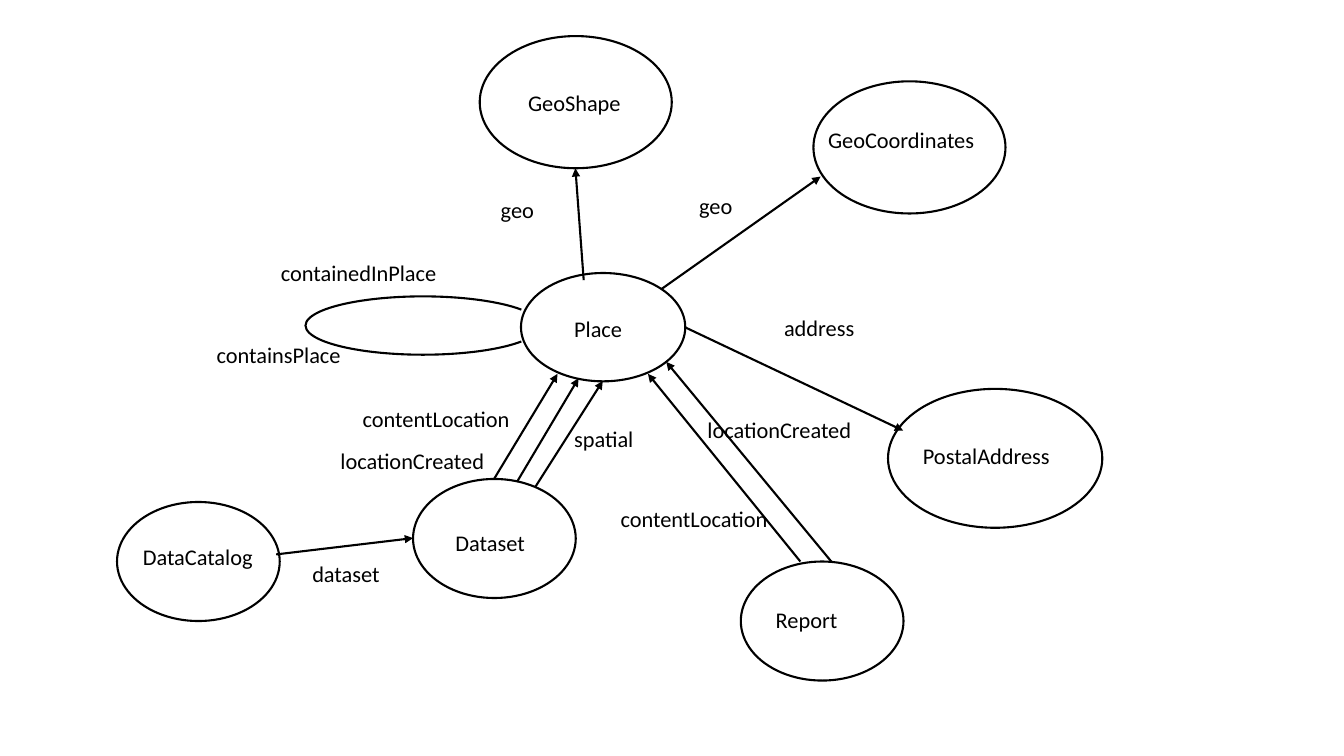
from lxml import etree
from pptx import Presentation
from pptx import util as u
from pptx.dml.color import RGBColor
from pptx.enum import shapes, text
from pptx.oxml.ns import qn

BLACK = RGBColor(0, 0, 0)
FONT = "Calibri"
FONT_SIZE = u.Pt(16)
LINE_WIDTH = u.Pt(1.5)
LABEL_HEIGHT = 0.94
BLANK_LAYOUT = 6

# All lengths in centimetres.
# name, ellipse (left, top, width, height), name label (left, top, width)
CLASSES = [
    ("Place", (13.13, 6.88, 4.14, 2.73), (14.22, 7.82, 1.73)),
    ("Report", (18.67, 14.15, 4.1, 3), (19.3, 15.16, 2.08)),
    ("Dataset", (10.41, 12.07, 4.1, 3), (11.23, 13.21, 2.29)),
    ("GeoCoordinates", (20.5, 2.05, 4.84, 3.33), (20.62, 3.05, 4.24)),
    ("PostalAddress", (22.38, 9.8, 5.4, 3.5), (23.01, 11.02, 3.76)),
    ("GeoShape", (12.09, 0.91, 4.84, 3.33), (13.06, 2.11, 2.87)),
    ("DataCatalog", (2.95, 12.65, 4.1, 3), (3.35, 13.56, 3.3)),
]

# name, label (left, top, width), arrow (from x, from y, to x, to y)
PROPERTIES = [
    ("geo", (17.37, 4.72, 1.37), (16.66, 7.29, 20.68, 4.45)),
    ("geo", (12.37, 4.83, 1.37), (14.71, 7.06, 14.5, 4.24)),
    ("address", (19.51, 7.8, 2.31), (17.27, 8.25, 22.76, 10.85)),
    ("contentLocation", (8.89, 10.08, 4.27), (12.45, 12.07, 14.05, 9.42)),
    ("locationCreated", (8.33, 11.15, 4.19), (13.03, 12.14, 14.58, 9.53)),
    ("spatial", (14.22, 10.59, 2.03), (13.49, 12.27, 15.19, 9.6)),
    ("contentLocation", (15.39, 12.6, 4.27), (20.17, 14.15, 16.33, 9.42)),
    ("locationCreated", (17.58, 10.36, 4.19), (20.95, 14.15, 16.79, 9.12)),
    ("dataset", (7.62, 14, 2.24), (6.96, 13.97, 10.41, 13.56)),
]

# Place refers to itself through one open loop
LOOP = (7.7, 7.47, 5.92, 1.47)
LOOP_GAP_DEGREES = 9.2
LOOP_LABELS = [
    ("containedInPlace", (6.83, 6.4, 4.47)),
    ("containsPlace", (5.21, 8.46, 3.68)),
]


def cm(lengths):
    return [u.Cm(length) for length in lengths]


def add_outline(slide, preset, box):
    outline = slide.shapes.add_shape(preset, *cm(box))
    outline.shadow.inherit = False
    outline.fill.background()
    outline.line.color.rgb = BLACK
    outline.line.width = LINE_WIDTH
    return outline


def add_label(slide, name, place):
    label = slide.shapes.add_textbox(*cm((*place, LABEL_HEIGHT)))
    frame = label.text_frame
    frame.text = name
    frame.word_wrap = False
    frame.auto_size = text.MSO_AUTO_SIZE.SHAPE_TO_FIT_TEXT
    font = frame.paragraphs[0].runs[0].font
    font.name = FONT
    font.size = FONT_SIZE
    font.color.rgb = BLACK


def add_arrow(slide, ends):
    arrow = slide.shapes.add_connector(shapes.MSO_CONNECTOR.STRAIGHT, *cm(ends))
    arrow.line.color.rgb = BLACK
    arrow.line.width = LINE_WIDTH
    etree.SubElement(arrow.line._get_or_add_ln(), qn("a:tailEnd"), type="triangle")
    etree.SubElement(arrow._element.spPr, qn("a:effectLst"))


def add_loop(slide):
    """Draw the arc clockwise, leaving its gap at the right-hand end."""
    loop = add_outline(slide, shapes.MSO_SHAPE.ARC, LOOP)
    # Adjustments count 60000ths of a degree, divided by 100000
    loop.adjustments[0] = LOOP_GAP_DEGREES * 0.6
    loop.adjustments[1] = (360 - LOOP_GAP_DEGREES) * 0.6


def main():
    deck = Presentation()
    deck.slide_width, deck.slide_height = cm((33.87, 19.05))
    slide = deck.slides.add_slide(deck.slide_layouts[BLANK_LAYOUT])

    for name, ellipse, label in CLASSES:
        add_outline(slide, shapes.MSO_SHAPE.OVAL, ellipse)
        add_label(slide, name, label)
    for name, label, ends in PROPERTIES:
        add_arrow(slide, ends)
        add_label(slide, name, label)
    add_loop(slide)
    for name, label in LOOP_LABELS:
        add_label(slide, name, label)

    deck.save("out.pptx")


if __name__ == "__main__":
    main()
